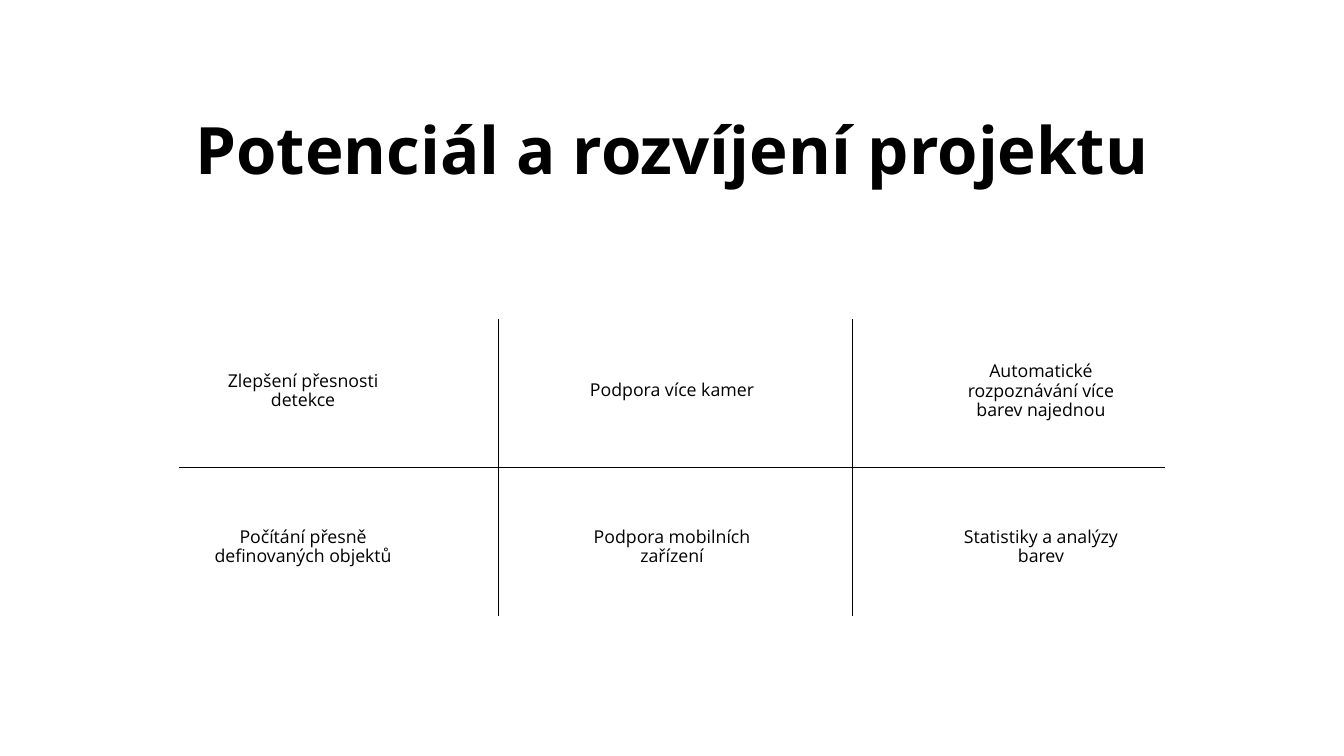
"""Build a slide with a title over a ruled grid of six project ideas."""
from lxml.etree import SubElement
from pptx import Presentation
from pptx.dml.color import RGBColor
from pptx.enum.shapes import MSO_CONNECTOR
from pptx.enum.text import MSO_ANCHOR, MSO_AUTO_SIZE, PP_ALIGN
from pptx.oxml.ns import qn
from pptx.util import Inches, Pt

TITLE = "Potenciál a rozvíjení projektu"
IDEAS = [
    [("Zlepšení přesnosti detekce", 2), ("Podpora více kamer", 1),
     ("Automatické rozpoznávání více barev najednou", 3)],
    [("Počítání přesně definovaných objektů", 2),
     ("Podpora mobilních zařízení", 2), ("Statistiky a analýzy barev", 2)],
]

THEME = {
    "ink": RGBColor(0, 0, 0),
    "paper": RGBColor(255, 255, 255),
    "title": {"name": "Open Sans", "size": Pt(70), "bold": True},
    "body": {"name": "Open Sans", "size": Pt(19), "bold": False},
    "lead": {"title": Pt(63), "body": Pt(20.9)},
    "rule": Pt(1.5),
}
FRAME = {
    "margin_left": 0, "margin_top": 0, "margin_right": 0, "margin_bottom": 0,
    "word_wrap": True, "vertical_anchor": MSO_ANCHOR.TOP,
    "auto_size": MSO_AUTO_SIZE.SHAPE_TO_FIT_TEXT,
}

WIDE, HIGH = 20, 11.25
MID = WIDE / 2
COL, ROW = 5.49, 2.32
TOP = 5.81
CELL, LINE = 2.92, 0.28
CROSS = 6.96
SPAN = 14.68
HEAD, FOOT = 4.74, 9.17
SPLIT, FIRST = 5.27, 7.42


def apply(item, values):
    for key, value in values.items():
        setattr(item, key, value)


def write(slide, text, style, x, y, wide, high):
    box = slide.shapes.add_textbox(
        *map(Inches, (x - wide / 2, y - high / 2, wide, high)))
    apply(box.text_frame, FRAME)
    para = box.text_frame.paragraphs[0]
    apply(para, {"alignment": PP_ALIGN.CENTER,
                 "line_spacing": THEME["lead"][style]})
    run = para.add_run()
    run.text = text
    apply(run.font, THEME[style])
    run.font.color.rgb = THEME["ink"]


def rule(slide, *ends):
    line = slide.shapes.add_connector(
        MSO_CONNECTOR.STRAIGHT, *map(Inches, ends))
    line.line.color.rgb = THEME["ink"]
    line.line.width = THEME["rule"]
    SubElement(line.element.spPr, qn("a:effectLst"))


def main():
    deck = Presentation()
    apply(deck, {"slide_width": Inches(WIDE), "slide_height": Inches(HIGH)})
    slide = deck.slides.add_slide(deck.slide_layouts[6])
    slide.background.fill.solid()
    slide.background.fill.fore_color.rgb = THEME["paper"]

    for r, row in enumerate(IDEAS):
        for c, (text, lines) in enumerate(row):
            write(slide, text, "body", MID + (c - 1) * COL, TOP + r * ROW,
                  CELL, lines * LINE + 0.01)
    write(slide, TITLE, "title", MID, 2.38, 17.75, 0.94)

    rule(slide, MID - SPAN / 2, CROSS, MID + SPAN / 2, CROSS)
    for c in range(2):
        x = FIRST + c * SPLIT
        rule(slide, x, FOOT, x, HEAD)
    deck.save("out.pptx")


if __name__ == "__main__":
    main()
